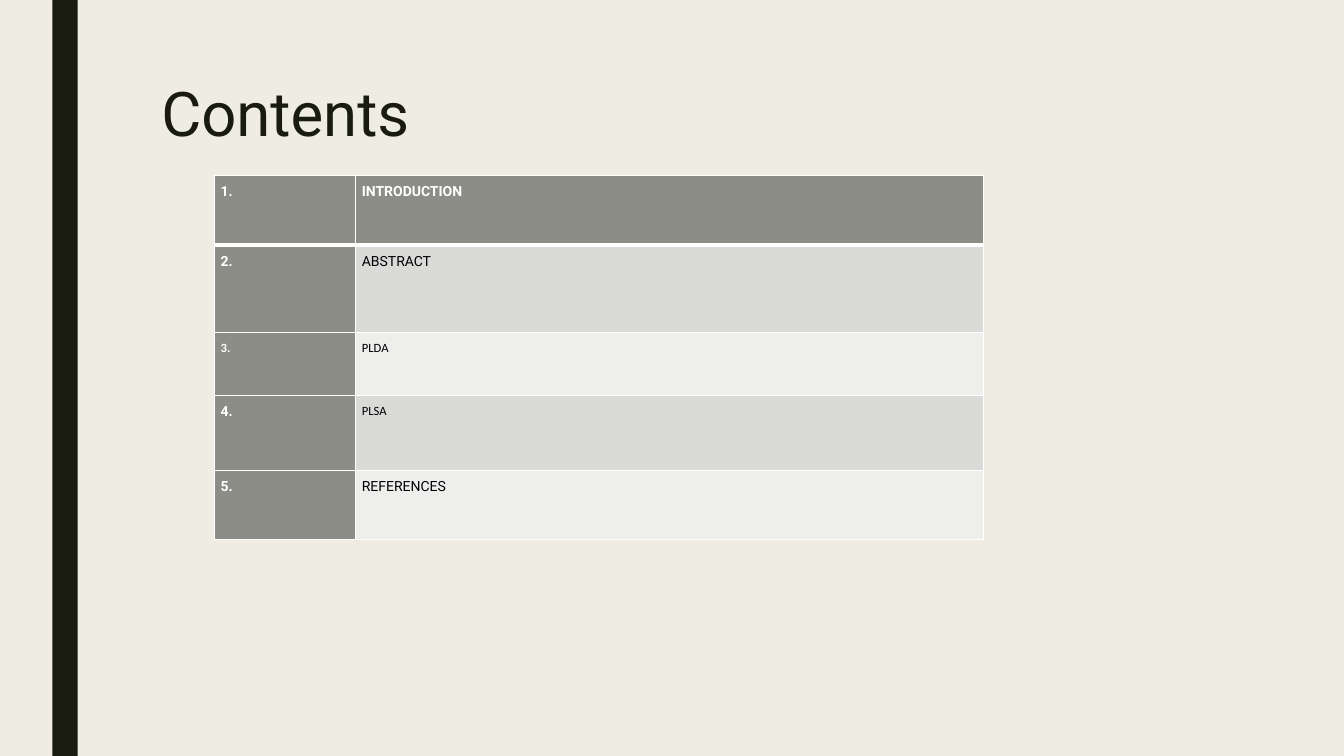
from pptx import Presentation, util as u
from pptx.dml.color import RGBColor
from pptx.enum import shapes, text
from pptx.oxml import parse_xml
from pptx.oxml.ns import nsdecls

INK, PAPER, WHITE, BLACK = "191B0E", "EFEDE3", "FFFFFF", "000000"
HEADING, BANDS = "8C8D86", ("EEEEED", "DADBD9")
ROBOTO, CALIBRI = ("Roboto", 10), ("Calibri", 9)


def color(value):
    return RGBColor.from_string(value)


class Deck:
    COLUMNS, ROWS = 160, 90

    def __init__(self):
        self.prs = Presentation()
        self.prs.slide_width = u.Inches(13.33)
        self.prs.slide_height = u.Inches(7.5)
        self.slide = self.prs.slides.add_slide(self.prs.slide_layouts[5])
        backdrop = self.slide.background.fill
        backdrop.solid()
        backdrop.fore_color.rgb = color(PAPER)

    def across(self, columns):
        return round(self.prs.slide_width * columns / self.COLUMNS)

    def down(self, rows):
        return round(self.prs.slide_height * rows / self.ROWS)

    def box(self, left, top, width, height):
        return self.across(left), self.down(top), self.across(width), self.down(height)

    def style(self, paragraph, face, ink, spacing, bold=False):
        paragraph.line_spacing = spacing
        paragraph.alignment = text.PP_ALIGN.LEFT
        for run in paragraph.runs:
            run.font.name, size = face
            run.font.size = u.Pt(size)
            run.font.bold = bold
            run.font.color.rgb = color(ink)

    def stripe(self, *place):
        stripe = self.slide.shapes.add_shape(shapes.MSO_SHAPE.RECTANGLE, *self.box(*place))
        stripe.shadow.inherit = False
        stripe.fill.solid()
        stripe.fill.fore_color.rgb = color(INK)
        stripe.line.fill.background()

    def title(self, wording, *place):
        heading = self.slide.shapes.title
        heading.left, heading.top, heading.width, heading.height = self.box(*place)
        frame = heading.text_frame
        frame.text = wording
        frame.word_wrap = True
        frame.vertical_anchor = text.MSO_ANCHOR.MIDDLE
        self.style(frame.paragraphs[0], ("Roboto", 44), INK, 0.89)

    def border(self, cell, **widths):
        properties = cell._tc.get_or_add_tcPr()
        for side in "LRTB":
            width = u.Pt(widths.get(side, 1))
            properties.append(parse_xml(
                f'<a:ln{side} {nsdecls("a")} w="{width}"><a:solidFill>'
                f'<a:srgbClr val="{WHITE}"/></a:solidFill></a:ln{side}>'))

    def cell(self, cell, wording, face, fill, ink, bold):
        cell.margin_left = cell.margin_right = u.Inches(0.06)
        cell.margin_top = cell.margin_bottom = 0
        cell.text = wording
        self.style(cell.text_frame.paragraphs[0], face, ink, 1.5, bold)
        cell.fill.solid()
        cell.fill.fore_color.rgb = color(fill)

    def contents(self, entries, left, top, widths, heights):
        place = self.box(left, top, sum(widths), sum(heights))
        table = self.slide.shapes.add_table(len(entries), len(widths), *place).table
        for column, width in zip(table.columns, widths):
            column.width = self.across(width)
        for row, height in zip(table.rows, heights):
            row.height = self.down(height)
        for r, (topic, number_face, topic_face) in enumerate(entries):
            cells = ((f"{r + 1}.", number_face), (topic, topic_face))
            for c, (wording, face) in enumerate(cells):
                cell = table.cell(r, c)
                strong = r == 0 or c == 0
                self.border(cell, T=3 if r == 1 else 1, B=3 if r == 0 else 1)
                self.cell(cell, wording, face, HEADING if strong else BANDS[r % 2],
                          WHITE if strong else BLACK, strong)


def main():
    deck = Deck()
    deck.stripe(6.24, 0, 3, 90)
    deck.title("Contents", 18, 9, 126, 9.72)
    entries = [
        ("INTRODUCTION", ROBOTO, ROBOTO),
        ("ABSTRACT", ROBOTO, ROBOTO),
        ("PLDA", CALIBRI, CALIBRI),
        ("PLSA", ROBOTO, CALIBRI),
        ("REFERENCES", ROBOTO, ROBOTO),
    ]
    deck.contents(entries, 25.56, 20.88, (16.8, 74.76), (8.28, 10.44, 7.5, 8.88, 8.28))
    deck.prs.save("out.pptx")


if __name__ == "__main__":
    main()
